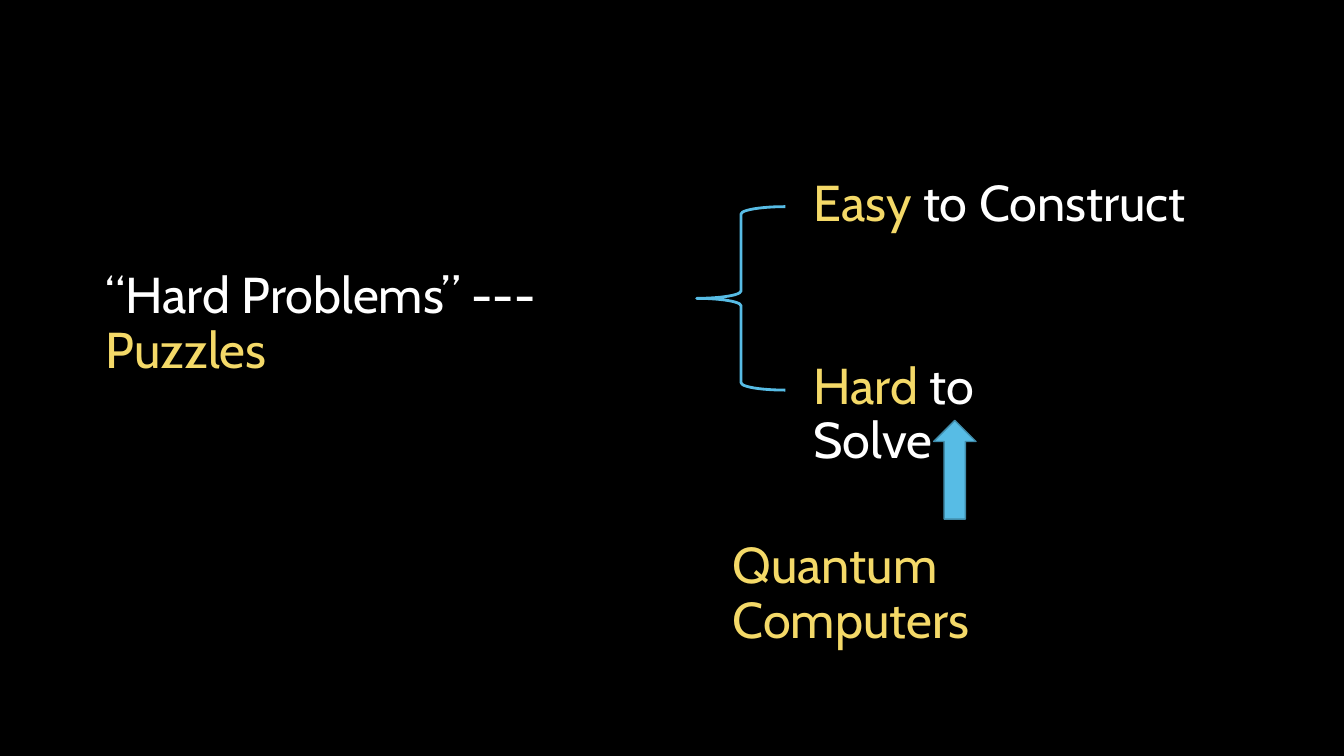
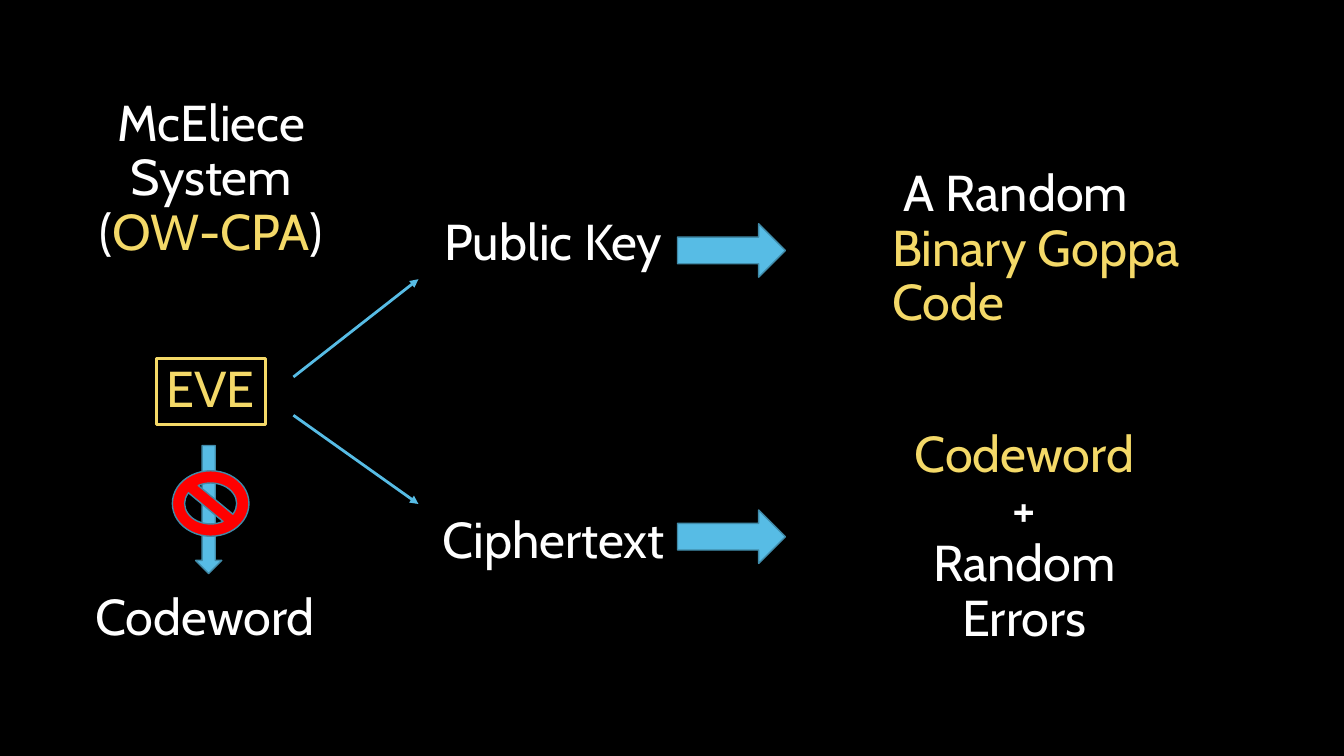
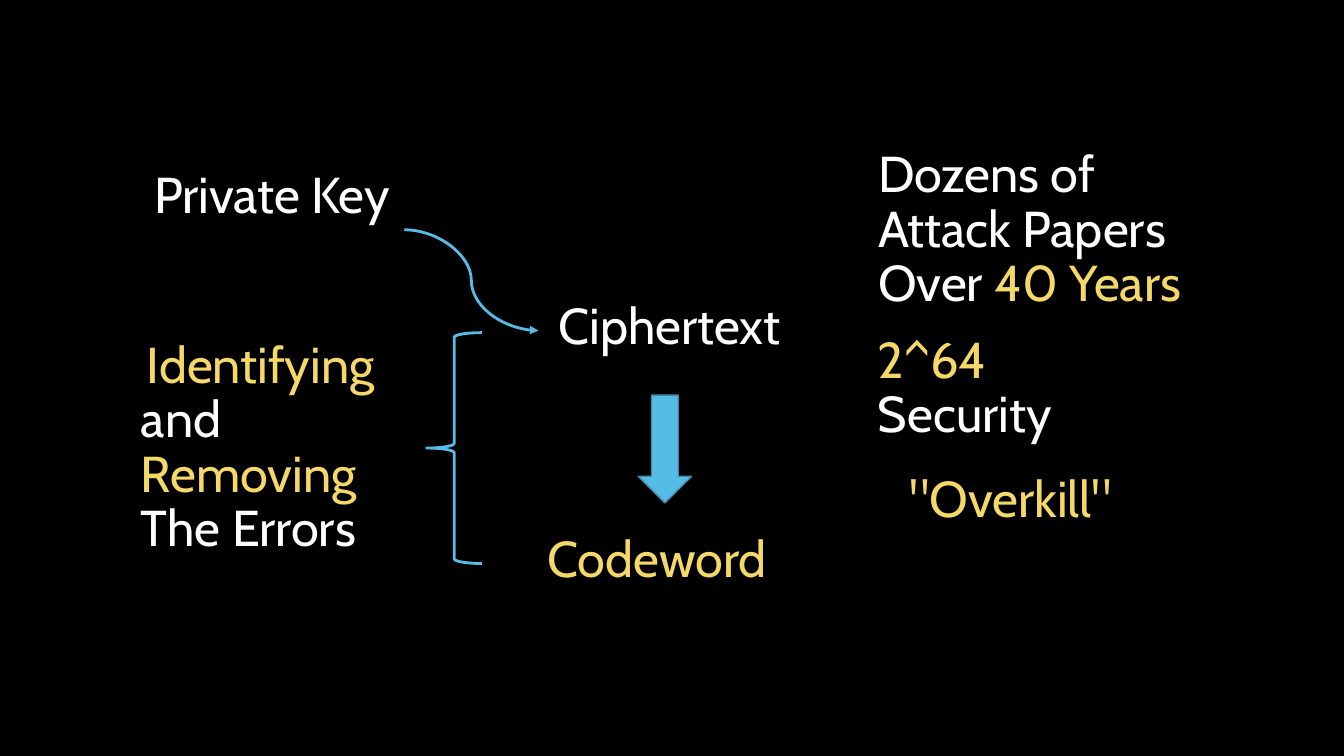
"""Builds three slides on puzzles, the McEliece system and its security."""
from lxml.etree import SubElement
from pptx import Presentation
from pptx.dml.color import RGBColor
from pptx.enum.shapes import MSO_CONNECTOR, MSO_SHAPE
from pptx.enum.text import MSO_ANCHOR, MSO_AUTO_SIZE, PP_ALIGN
from pptx.oxml.ns import qn
from pptx.util import Inches, Pt

COLOURS = {
    "background": "000000",
    "text": "FFFFFF",
    "accent": "F4D968",
    "arrow": "57BCE5",
    "outline": "408BA9",
    "forbidden": "FF0000",
}
FONT_FORMAT = {"name": "Cabin", "size": Pt(36)}
FRAME_FORMAT = {"word_wrap": True, "auto_size": MSO_AUTO_SIZE.SHAPE_TO_FIT_TEXT}
LINE_HEIGHT = 0.65
BLOCK_LENGTH, BLOCK_BREADTH = 1.07, 0.53


def colour(name):
    return RGBColor.from_string(COLOURS[name])


def apply_format(target, values):
    for name, value in values.items():
        setattr(target, name, value)


def set_line(line, name, width):
    line.color.rgb = colour(name)
    line.width = Pt(width)


def plain(text):
    return text, "text"


def accent(text):
    return text, "accent"


def write(box, paragraphs, align=PP_ALIGN.LEFT, anchor=MSO_ANCHOR.TOP, indent=0):
    frame = box.text_frame
    apply_format(frame, FRAME_FORMAT | {"vertical_anchor": anchor})
    for index, spans in enumerate(paragraphs):
        para = frame.add_paragraph() if index else frame.paragraphs[0]
        apply_format(para, {"alignment": align, "line_spacing": 0.9})
        if indent:
            para._p.get_or_add_pPr().set("indent", str(Inches(indent)))
        for text, name in spans:
            span = para.add_run()
            span.text = text
            apply_format(span.font, FONT_FORMAT)
            span.font.color.rgb = colour(name)


def add_text(page, left, top, width, *paragraphs, height=LINE_HEIGHT, **layout):
    box = page.shapes.add_textbox(*map(Inches, (left, top, width, height)))
    write(box, paragraphs, **layout)


def add_outline(page, kind, place, line, width):
    shape = page.shapes.add_shape(kind, *map(Inches, place))
    shape.shadow.inherit = False
    shape.fill.background()
    set_line(shape.line, line, width)
    return shape


def add_brace(page, *place):
    add_outline(page, MSO_SHAPE.LEFT_BRACE, place, "arrow", 2)


def add_block(page, kind, *place, fill="arrow"):
    shape = add_outline(page, kind, place, "outline", 1)
    shape.fill.solid()
    shape.fill.fore_color.rgb = colour(fill)


def add_arrow(page, start, end, kind=MSO_CONNECTOR.STRAIGHT):
    arrow = page.shapes.add_connector(kind, *map(Inches, start + end))
    set_line(arrow.line, "arrow", 2)
    SubElement(arrow.line._get_or_add_ln(), qn("a:tailEnd"), type="triangle")
    SubElement(arrow._element.spPr, qn("a:effectLst"))


def build_puzzles(page):
    add_text(page, 0.95, 2.63, 6.05, [plain("“Hard Problems” --- "), accent("Puzzles")])
    add_text(page, 7.97, 1.72, 3.9, [accent("Easy"), plain(" to Construct")])
    add_text(page, 7.97, 3.53, 3, [accent("Hard"), plain(" to Solve")])
    add_brace(page, 6.91, 2.05, 0.88, 1.82)
    add_block(page, MSO_SHAPE.UP_ARROW, 9.26, 4.17, 0.42, 0.98)
    add_text(page, 7.17, 5.31, 4.6, [accent("Quantum Computers")])


def build_system(page):
    centred = {"align": PP_ALIGN.CENTER, "anchor": MSO_ANCHOR.MIDDLE}
    add_text(page, 4.31, 2.1, 2.46, [plain("Public Key")])
    add_text(page, 8.75, 1.62, 3.53, [plain("A Random "), accent("Binary Goppa Code")],
             height=1.74, indent=0.11)
    add_text(page, 4.29, 5.06, 2.47, [plain("Ciphertext")])
    for top in (2.22, 5.06):
        add_block(page, MSO_SHAPE.RIGHT_ARROW, 6.72, top, BLOCK_LENGTH, BLOCK_BREADTH)
    add_text(page, 8.75, 4.2, 2.82, [accent("Codeword")], [plain("+")],
             [plain("Random Errors")], height=2.28, **centred)
    add_text(page, 0.86, 0.91, 2.47, [plain("McEliece System")],
             [plain("("), accent("OW-CPA"), plain(")")], height=1.74, **centred)
    eve = add_outline(page, MSO_SHAPE.RECTANGLE, (1.55, 3.56, 1.08, LINE_HEIGHT),
                      "accent", 2.25)
    write(eve, [[accent("EVE")]])
    add_text(page, 0.85, 5.82, 2.47, [plain("Codeword")])
    add_arrow(page, (2.91, 4.12), (4.15, 5))
    add_arrow(page, (2.91, 3.74), (4.15, 2.77))
    add_block(page, MSO_SHAPE.DOWN_ARROW, 1.94, 4.42, 0.26, 1.27)
    add_block(page, MSO_SHAPE.NO_SYMBOL, 1.71, 4.67, 0.76, 0.65, fill="forbidden")


def build_security(page):
    add_text(page, 1.43, 1.64, 4.08, [plain("Private Key")])
    add_text(page, 5.44, 2.94, 4.3, [plain("Ciphertext")])
    add_text(page, 5.33, 5.25, 3.67, [accent("Codeword")])
    add_arrow(page, (4.01, 2.28), (5.34, 3.28), MSO_CONNECTOR.CURVE)
    add_block(page, MSO_SHAPE.DOWN_ARROW, 6.33, 3.92, BLOCK_BREADTH, BLOCK_LENGTH)
    add_text(page, 1.3, 3.31, 2.56,
             [accent("Identifying"), plain(" and "), accent("Removing"), plain(" The Errors")],
             height=2.28, anchor=MSO_ANCHOR.MIDDLE, indent=0.06)
    add_brace(page, 4.23, 3.3, 0.55, 2.29)
    add_text(page, 8.61, 1.42, 3.38,
             [plain("Dozens of Attack Papers Over "), accent("40 Years")],
             height=1.74, anchor=MSO_ANCHOR.MIDDLE)
    add_text(page, 8.61, 3.27, 3, [accent("2^64"), plain(" Security")])
    add_text(page, 8.92, 4.65, 2.29, [accent('"Overkill"')])


def main():
    deck = Presentation()
    apply_format(deck, {"slide_width": Inches(13.33), "slide_height": Inches(7.5)})
    backdrop = deck.slide_master.background.fill
    backdrop.solid()
    backdrop.fore_color.rgb = colour("background")
    for build in (build_puzzles, build_system, build_security):
        build(deck.slides.add_slide(deck.slide_layouts[6]))
    deck.save("out.pptx")


if __name__ == "__main__":
    main()
